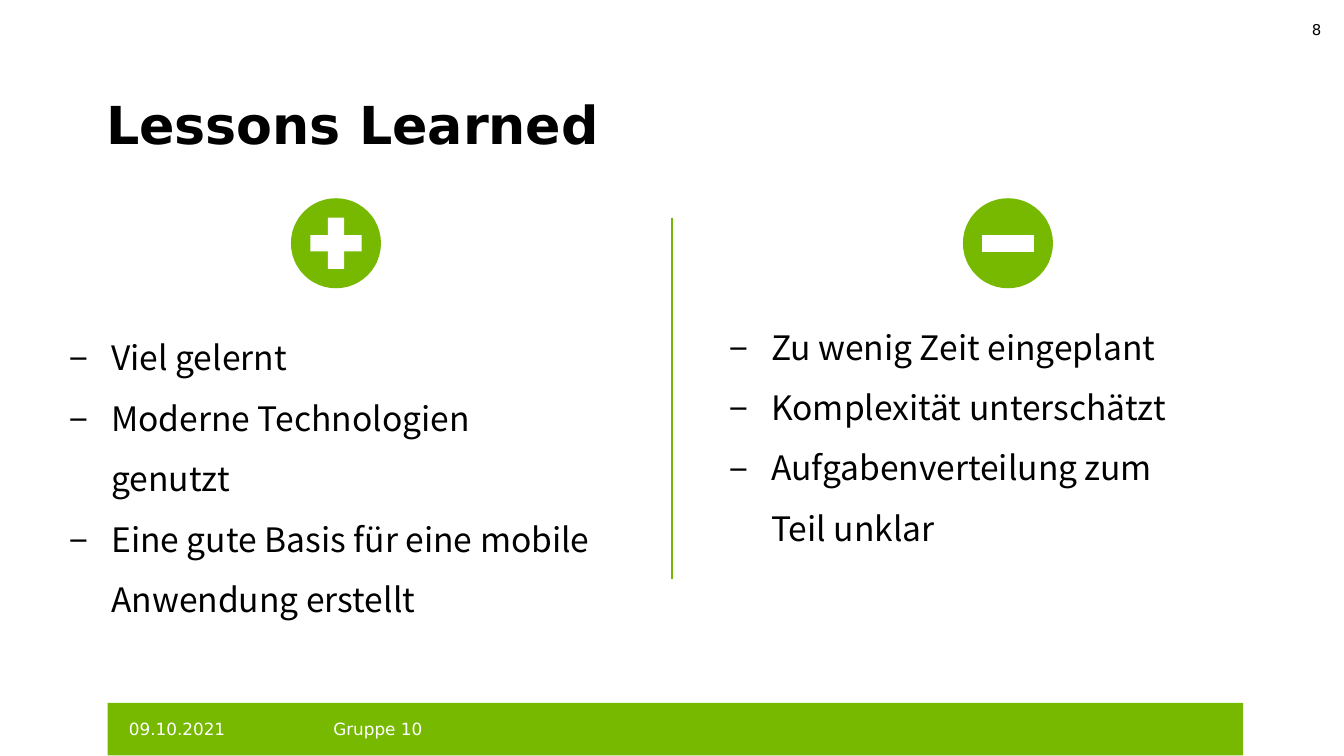
from lxml import etree
from pptx import Presentation, util as u
from pptx.dml.color import RGBColor
from pptx.enum import shapes, text
from pptx.oxml.ns import qn

WIDTH = 10
HEIGHT = WIDTH * 9 / 16
GREEN, LINE_GREEN, WHITE, BLACK = "76B900", "73B500", "FFFFFF", "000000"
HEADING_FONT, BODY_FONT = "DejaVu Sans", "Noto Sans CJK SC"
BADGE, BADGE_MIDDLE = 0.67, 1.81
INDENT = 0.31

TITLE = "Lessons Learned"
COLUMNS = [
    (shapes.MSO_SHAPE.MATH_PLUS, 0.52, (0.42, 2.31, 4.08, 1.86),
     ["Viel gelernt", "Moderne Technologien genutzt",
      "Eine gute Basis für eine mobile Anwendung erstellt"]),
    (shapes.MSO_SHAPE.MATH_MINUS, 0.53, (5.33, 2.23, 3.5, 1.86),
     ["Zu wenig Zeit eingeplant", "Komplexität unterschätzt",
      "Aufgabenverteilung zum Teil unklar"]),
]
LABELS = [
    ("09.10.2021", (0.96, 5.27, 1.2, 0.3), 9, WHITE, 0, text.PP_ALIGN.LEFT),
    ("Gruppe 10", (2.48, 5.27, 2.52, 0.3), 9, WHITE, 0, text.PP_ALIGN.LEFT),
    ("8", (9.17, 0.07, 0.76, 0.3), 8, BLACK, 0.1, text.PP_ALIGN.RIGHT),
]


def color(value):
    return RGBColor.from_string(value)


def inches(values):
    return [u.Inches(value) for value in values]


def format_runs(paragraph, size, name, value, bold=False):
    for run in paragraph.runs:
        run.font.size, run.font.name, run.font.bold = u.Pt(size), name, bold
        run.font.color.rgb = color(value)


def add_filled(parent, kind, box, value):
    shape = parent.add_shape(kind, *inches(box))
    shape.shadow.inherit = False
    shape.fill.solid()
    shape.fill.fore_color.rgb = color(value)
    shape.line.fill.background()


def add_title(slide):
    title = slide.shapes.title
    title.left, title.top, title.width, title.height = inches((0.79, 0.67, 8.71, 0.55))
    frame = title.text_frame
    frame.text = TITLE
    frame.margin_left = frame.margin_top = frame.margin_right = 0
    frame.margin_bottom = u.Inches(0.05)
    frame.vertical_anchor = text.MSO_ANCHOR.MIDDLE
    frame.paragraphs[0].alignment = text.PP_ALIGN.LEFT
    format_runs(frame.paragraphs[0], 28, HEADING_FONT, BLACK, True)


def add_label(slide, words, box, size, value, margin, alignment):
    frame = slide.shapes.add_textbox(*inches(box)).text_frame
    frame.word_wrap = True
    frame.text = words
    frame.margin_left = frame.margin_right = u.Inches(margin)
    frame.margin_top = frame.margin_bottom = 0
    frame.vertical_anchor = text.MSO_ANCHOR.MIDDLE
    frame.paragraphs[0].alignment = alignment
    format_runs(frame.paragraphs[0], size, HEADING_FONT, value)


def add_badge(slide, sign, sign_size, center):
    group = slide.shapes.add_group_shape().shapes
    for kind, side, value in ((shapes.MSO_SHAPE.OVAL, BADGE, GREEN), (sign, sign_size, WHITE)):
        box = (center - side / 2, BADGE_MIDDLE - side / 2, side, side)
        add_filled(group, kind, box, value)


def add_list(slide, items, box):
    frame = slide.shapes.add_textbox(*inches(box)).text_frame
    frame.word_wrap = True
    frame.auto_size = text.MSO_AUTO_SIZE.SHAPE_TO_FIT_TEXT
    frame.text = "\n".join(items)
    for paragraph in frame.paragraphs:
        paragraph.line_spacing = 1.5
        format_runs(paragraph, 18, BODY_FONT, BLACK)
        properties = paragraph._p.get_or_add_pPr()
        properties.set("marL", str(u.Inches(INDENT)))
        properties.set("indent", str(-u.Inches(INDENT)))
        etree.SubElement(properties, qn("a:buFont"), typeface=BODY_FONT)
        etree.SubElement(properties, qn("a:buChar"), char="−")


def add_divider(slide):
    ends = inches((WIDTH / 2, 1.62, WIDTH / 2, 4.31))
    divider = slide.shapes.add_connector(shapes.MSO_CONNECTOR.STRAIGHT, *ends)
    divider.line.color.rgb = color(LINE_GREEN)
    divider.line.width = u.Pt(0.75)
    etree.SubElement(divider._element.spPr, qn("a:effectLst"))


def main():
    """Build the lessons learned slide."""
    presentation = Presentation()
    presentation.slide_width, presentation.slide_height = inches((WIDTH, HEIGHT))
    slide = presentation.slides.add_slide(presentation.slide_layouts[5])
    add_filled(slide.shapes, shapes.MSO_SHAPE.RECTANGLE, (0.8, 5.23, 8.45, 0.39), GREEN)
    add_title(slide)
    for label in LABELS:
        add_label(slide, *label)
    column_width = WIDTH / len(COLUMNS)
    for index, (sign, sign_size, box, items) in enumerate(COLUMNS):
        add_badge(slide, sign, sign_size, (index + 0.5) * column_width)
        add_list(slide, items, box)
    add_divider(slide)
    presentation.save("out.pptx")


if __name__ == "__main__":
    main()
